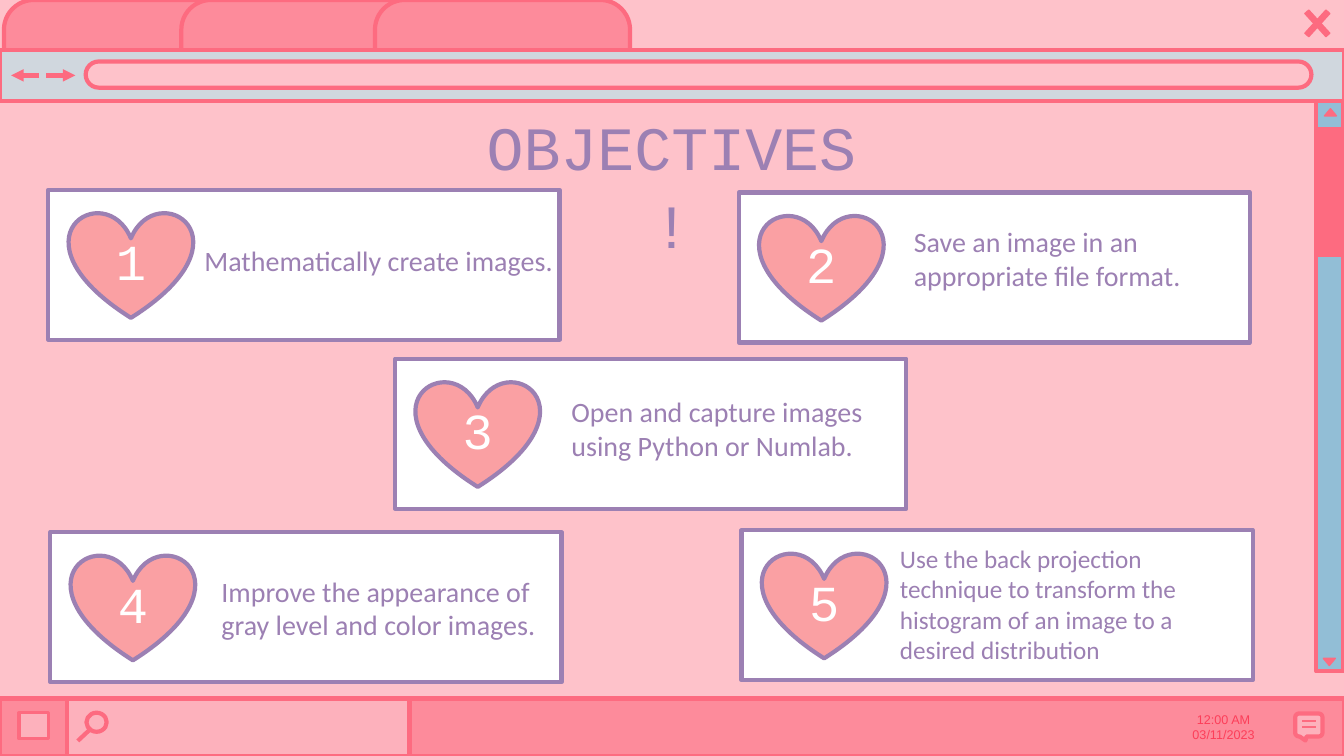
from lxml import etree
from pptx import Presentation
from pptx.dml.color import RGBColor
from pptx.enum.shapes import MSO_CONNECTOR, MSO_SHAPE
from pptx.enum.text import MSO_ANCHOR, PP_ALIGN
from pptx.oxml.ns import qn
from pptx.util import Cm, Pt

RECTANGLE = MSO_SHAPE.RECTANGLE
ROUNDED = MSO_SHAPE.ROUNDED_RECTANGLE
TRIANGLE = MSO_SHAPE.ISOSCELES_TRIANGLE
OVAL = MSO_SHAPE.OVAL
HEART = MSO_SHAPE.HEART
CALLOUT = MSO_SHAPE.ROUNDED_RECTANGULAR_CALLOUT
CROSS = MSO_SHAPE.MATH_MULTIPLY
STRAIGHT = MSO_CONNECTOR.STRAIGHT
LEFT, CENTER = PP_ALIGN.LEFT, PP_ALIGN.CENTER
TOP, MIDDLE = MSO_ANCHOR.TOP, MSO_ANCHOR.MIDDLE

PALE_PINK = RGBColor(0xFE, 0xC2, 0xCA)
SOFT_PINK = RGBColor(0xFD, 0xB1, 0xBC)
PINK = RGBColor(0xFD, 0x8B, 0x9B)
HOT_PINK = RGBColor(0xFD, 0x6B, 0x80)
CLOCK_RED = RGBColor(0xFC, 0x3E, 0x59)
SALMON = RGBColor(0xFA, 0xA0, 0xA3)
PURPLE = RGBColor(0x9C, 0x80, 0xB3)
BLUE = RGBColor(0x92, 0xBE, 0xD6)
GRAY = RGBColor(0xD0, 0xD7, 0xDE)
WHITE = RGBColor(0xFF, 0xFF, 0xFF)

WIDTH, HEIGHT = 33.87, 19.05


def add_box(shapes, kind, box, fill, line=HOT_PINK, weight=3, adjust=()):
    """Add a preset shape; box is left, top, width and height in cm."""
    shape = shapes.add_shape(kind, *[Cm(length) for length in box])
    shape.shadow.inherit = False
    shape.fill.solid()
    shape.fill.fore_color.rgb = fill
    shape.line.color.rgb = line
    shape.line.width = Pt(weight)
    for index, value in enumerate(adjust):
        shape.adjustments[index] = value
    return shape


def write_text(shape, text, font, size, color, align=LEFT, anchor=MIDDLE,
               wrap=True, spacing=None):
    frame = shape.text_frame
    frame.text = text
    frame.word_wrap = wrap
    frame.vertical_anchor = anchor
    for paragraph in frame.paragraphs:
        paragraph.alignment = align
        paragraph.line_spacing = spacing
        paragraph.font.name = font
        paragraph.font.size = Pt(size)
        paragraph.font.color.rgb = color


presentation = Presentation()
presentation.slide_width = Cm(WIDTH)
presentation.slide_height = Cm(HEIGHT)
slide = presentation.slides.add_slide(presentation.slide_layouts[5])
slide.background.fill.solid()
slide.background.fill.fore_color.rgb = PALE_PINK
shapes = slide.shapes

title = shapes.title
title.left, title.top, title.width, title.height = Cm(11.63), Cm(2.5), Cm(10.59), Cm(2.13)
write_text(title, "OBJECTIVES!", "Courier New", 44, PURPLE, CENTER, TOP, spacing=1.06)

# Scroll bar
add_box(shapes, RECTANGLE, (33.17, 2.54, 0.69, 14.38), BLUE)
add_box(shapes, RECTANGLE, (33.17, 3.23, 0.64, 3.23), HOT_PINK, weight=1)
add_box(shapes, TRIANGLE, (33.38, 2.74, 0.3, 0.18), HOT_PINK, weight=1)
scroll_down = add_box(shapes, TRIANGLE, (33.35, 16.59, 0.3, 0.18), HOT_PINK, weight=1)
scroll_down.rotation = 180

# Browser tabs, toolbar and close button
for tab_left in (0.1, 4.57, 9.45):
    add_box(shapes, ROUNDED, (tab_left, 0, 6.43, 2.54), PINK, adjust=[0.295])
add_box(shapes, RECTANGLE, (0, 1.27, WIDTH, 1.27), GRAY)
add_box(shapes, ROUNDED, (2.16, 1.55, 30.89, 0.66), PALE_PINK, adjust=[0.5])
add_box(shapes, CROSS, (32.69, 0.03, 1.02, 1.12), HOT_PINK, weight=1, adjust=[0.128])

# Taskbar
add_box(shapes, RECTANGLE, (0, 17.6, WIDTH, 1.45), PINK)
add_box(shapes, RECTANGLE, (0.48, 17.96, 0.74, 0.66), SOFT_PINK, weight=2.25)
add_box(shapes, RECTANGLE, (1.68, 17.6, 8.64, 1.45), SOFT_PINK)
add_box(shapes, OVAL, (2.18, 17.96, 0.51, 0.48), SOFT_PINK)
add_box(shapes, CALLOUT, (32.64, 17.98, 0.69, 0.58), SOFT_PINK, adjust=[-0.124, 0.675, 0.167])
clock = shapes.add_textbox(Cm(29.11), Cm(17.81), Cm(3.45), Cm(1.02))
write_text(clock, "12:00 AM\n03/11/2023", "Arial", 9, CLOCK_RED, CENTER, TOP, wrap=False)

# Navigation arrows, search handle and message lines
strokes = [
    ((0.99, 1.9, 0.28, 1.9), 3, True),
    ((1.17, 1.9, 1.9, 1.9), 3, True),
    ((2.26, 18.39, 1.96, 18.67), 3, False),
    ((32.82, 18.16, 33.17, 18.16), 1.5, False),
    ((32.82, 18.31, 33.17, 18.31), 1.5, False),
]
for ends, weight, has_arrow in strokes:
    stroke = shapes.add_connector(STRAIGHT, *[Cm(length) for length in ends])
    stroke.line.color.rgb = HOT_PINK
    stroke.line.width = Pt(weight)
    if has_arrow:
        etree.SubElement(stroke.line._get_or_add_ln(), qn("a:tailEnd"), type="triangle")
    etree.SubElement(stroke._element.spPr, qn("a:effectLst"))

# Objective cards: left, top, text left, text top, text width, size, text
cards = [
    (1.22, 4.78, 4.9, 5.36, 9.37, 20, "Mathematically create images."),
    (18.62, 4.85, 22.78, 5.31, 8.79, 20, "Save an image in an appropriate file format."),
    (9.96, 9.04, 14.15, 9.6, 8.79, 20, "Open and capture images using Python or Numlab."),
    (1.27, 13.41, 5.33, 14.12, 8.79, 20,
     "Improve the appearance of gray level and color images."),
    (18.69, 13.36, 22.43, 14.02, 9.25, 18,
     "Use the back projection technique to transform the histogram of an image "
     "to a desired distribution"),
]
for number, (left, top, text_left, text_top, text_width, size, text) in enumerate(cards, 1):
    card = shapes.add_group_shape().shapes
    add_box(card, RECTANGLE, (left, top, 12.88, 3.78), WHITE, PURPLE)
    heart = add_box(card, HEART, (left + 0.52, top + 0.56, 3.12, 2.67), SALMON, PURPLE)
    write_text(heart, str(number), "Courier New", 36, WHITE, CENTER)
    objective = card.add_textbox(Cm(text_left), Cm(text_top), Cm(text_width), Cm(2.4))
    write_text(objective, text, "Calibri", size, PURPLE)

presentation.save("out.pptx")
